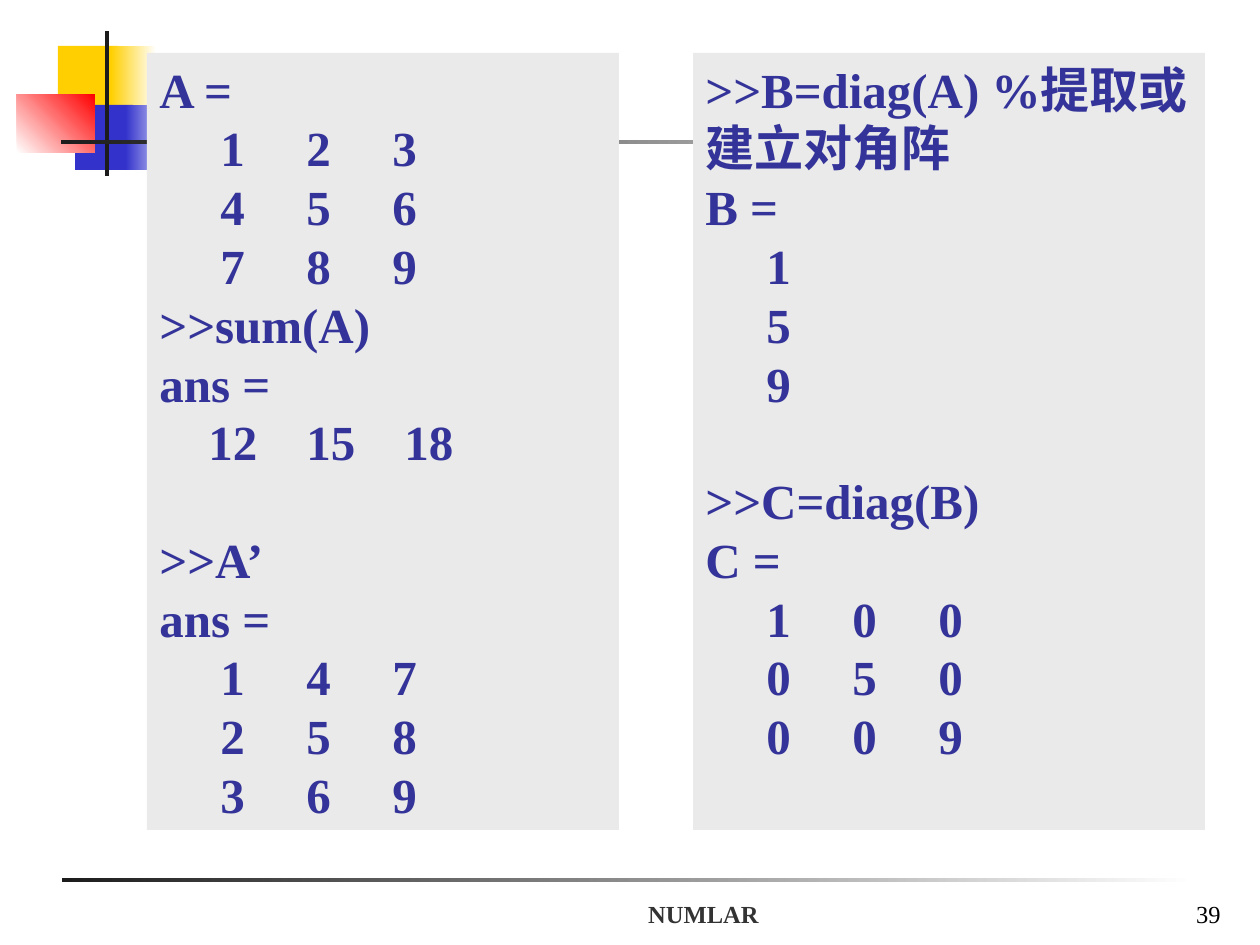
from pptx import Presentation
from pptx.dml.color import RGBColor
from pptx.enum.shapes import MSO_SHAPE as Shape
from pptx.enum.text import MSO_ANCHOR as Anchor, PP_ALIGN as Align
from pptx.util import Pt
from lxml.etree import SubElement

PX = 914400 // 126
FONT = "Times New Roman"
NS = "{http://schemas.openxmlformats.org/drawingml/2006/main}"
LINE_PITCH = 33.6
GAP = ""
BLUE, YELLOW, DARK, WHITE, RED = "3333CC", "FFCF01", "1C1C1C", "FFFFFF", "FF0000"
PANEL_FILL, CODE_COLOR = "EAEAEA", "333399"

DECORATION = [
    ((58, 46, 60, 66), (YELLOW,), 0),
    ((111, 46, 45, 66), (YELLOW, WHITE), 0),
    ((75, 105, 58, 65), (BLUE,), 0),
    ((126, 105, 50, 65), (BLUE, WHITE), 0),
    ((17, 94, 78, 59), (WHITE, RED), 45),
    ((105, 31, 4, 145), (DARK,), 0),
    ((61, 140, 1134, 4), (DARK, WHITE), 0),
    ((62, 878, 1134, 4), (DARK, WHITE), 0),
]
FOOTERS = [
    ((504, 872, 399, 63), "NUMLAR", Align.CENTER, "333333", True),
    ((971, 872, 262, 63), "39", Align.RIGHT, "000000", False),
]
PANELS = [
    ((147, 53, 472, 777), [
        "A =", (1, 2, 3), (4, 5, 6), (7, 8, 9),
        ">>sum(A)", "ans =", (12, 15, 18), GAP,
        ">>A’", "ans =", (1, 4, 7), (2, 5, 8), (3, 6, 9),
    ]),
    ((693, 53, 512, 777), [
        ">>B=diag(A) %提取或建立对角阵", "B =", (1,), (5,), (9,), GAP,
        ">>C=diag(B)", "C =", (1, 0, 0), (0, 5, 0), (0, 0, 9),
    ]),
]
COLUMN_START_AND_PITCH_BY_DIGITS = {1: (61, 86), 2: (49, 98)}


def color(value):
    return RGBColor.from_string(value)


def emu(box):
    return [length * PX for length in box]


def add_block(slide, box, colors, angle=0):
    block = slide.shapes.add_shape(Shape.RECTANGLE, *emu(box))
    block.shadow.inherit = False
    block.line.fill.background()
    if len(colors) == 1:
        block.fill.solid()
        block.fill.fore_color.rgb = color(colors[0])
    else:
        block.fill.gradient()
        block.fill.gradient_angle = angle
        for stop, value in zip(block.fill.gradient_stops, colors):
            stop.color.rgb = color(value)
    return block


def add_text(paragraph, text, size, value, bold):
    run = paragraph.add_run()
    run.text = text
    run.font.name, run.font.size, run.font.bold = FONT, Pt(size), bold
    run.font.color.rgb = color(value)


def set_columns(paragraph, row):
    first, pitch = COLUMN_START_AND_PITCH_BY_DIGITS[len(str(row[0]))]
    tabs = SubElement(paragraph._p.get_or_add_pPr(), NS + "tabLst")
    for column in range(len(row)):
        position = (first + column * pitch) * PX
        SubElement(tabs, NS + "tab", pos=str(position), algn="l")


def add_panel(slide, box, lines):
    frame = add_block(slide, box, (PANEL_FILL,)).text_frame
    frame.word_wrap = True
    frame.vertical_anchor = Anchor.TOP
    paragraph, space = frame.paragraphs[0], 0
    for index, line in enumerate(lines):
        if line == GAP:
            space = LINE_PITCH
            continue
        if index:
            paragraph = frame.add_paragraph()
        paragraph.alignment = Align.LEFT
        paragraph.line_spacing = Pt(LINE_PITCH)
        paragraph.space_before, space = Pt(space), 0
        if isinstance(line, tuple):
            set_columns(paragraph, line)
            line = "".join(f"\t{number}" for number in line)
        add_text(paragraph, line, 28, CODE_COLOR, True)


def add_footer(slide, box, text, alignment, value, bold):
    frame = slide.shapes.add_textbox(*emu(box)).text_frame
    frame.word_wrap = True
    frame.vertical_anchor = Anchor.BOTTOM
    frame.paragraphs[0].alignment = alignment
    add_text(frame.paragraphs[0], text, 14, value, bold)


def main():
    """Build the slide on matrix sums, transposes and diagonals."""
    deck = Presentation()
    deck.slide_width, deck.slide_height = emu((1260, 945))
    slide = deck.slides.add_slide(deck.slide_layouts[6])
    for box, colors, angle in DECORATION:
        add_block(slide, box, colors, angle)
    for footer in FOOTERS:
        add_footer(slide, *footer)
    for box, lines in PANELS:
        add_panel(slide, box, lines)
    deck.save("out.pptx")


if __name__ == "__main__":
    main()
